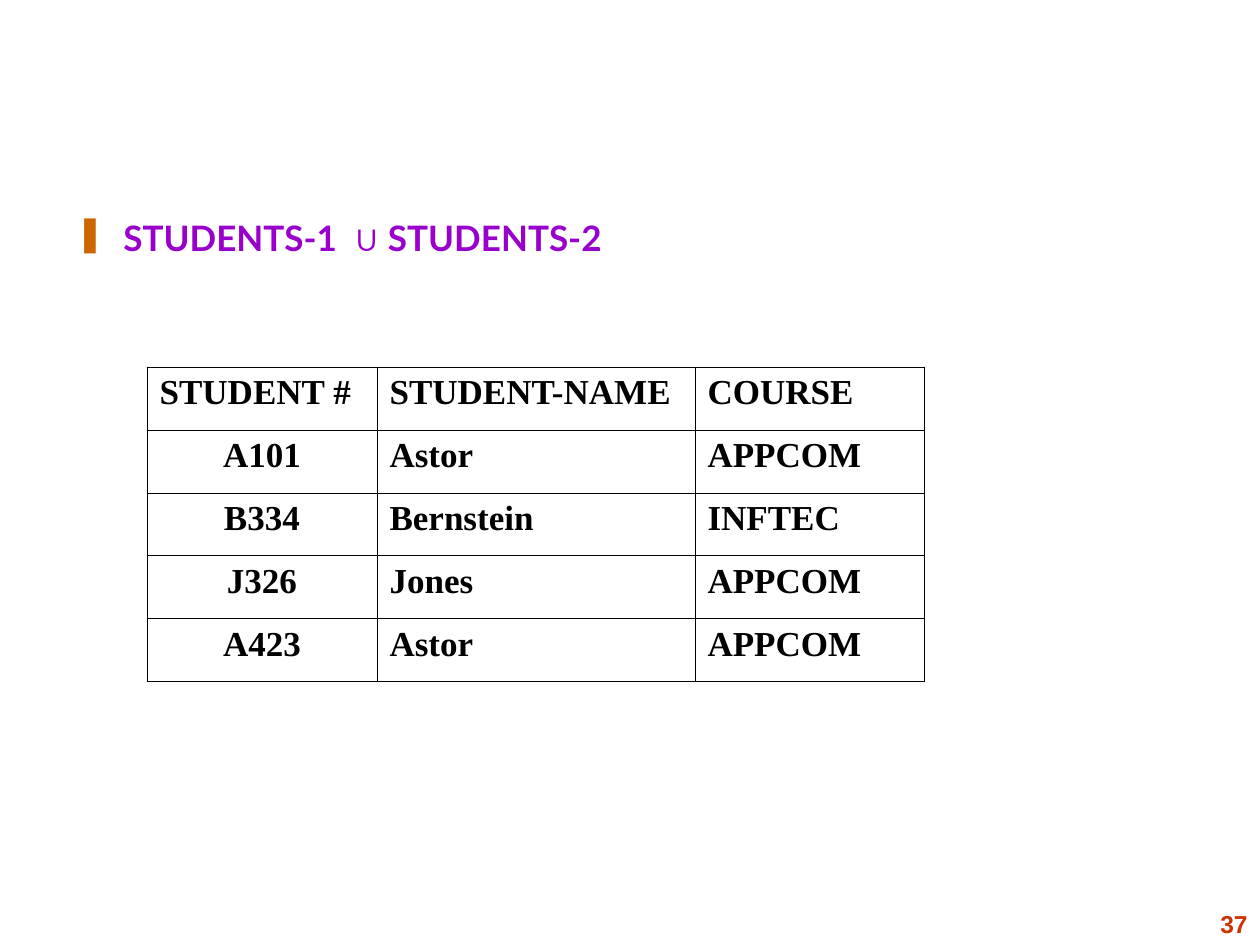
from lxml import etree
from pptx import Presentation
from pptx.dml.color import RGBColor
from pptx.enum.text import MSO_ANCHOR, PP_ALIGN
from pptx.oxml.ns import qn
from pptx.util import Emu, Pt

LEFT, CENTER, RIGHT = PP_ALIGN.LEFT, PP_ALIGN.CENTER, PP_ALIGN.RIGHT
TOP, BOTTOM = MSO_ANCHOR.TOP, MSO_ANCHOR.BOTTOM
PX = 914400 // 126
COLORS = {"heading": "9900CC", "bullet": "CC6600", "number": "CC3300", "table": "000000"}
BORDER_WIDTH = Pt(0.45)
STUDENTS = [
    ("STUDENT #", "STUDENT-NAME", "COURSE"),
    ("A101", "Astor", "APPCOM"),
    ("B334", "Bernstein", "INFTEC"),
    ("J326", "Jones", "APPCOM"),
    ("A423", "Astor", "APPCOM"),
]


def px(length):
    return Emu(length * PX)


class SlideBuilder:
    def __init__(self, presentation):
        self.slide = presentation.slides.add_slide(presentation.slide_layouts[6])

    def style(self, paragraph, size, color, name=None):
        font = paragraph.font
        font.size = Pt(size)
        font.bold = True
        font.color.rgb = RGBColor.from_string(COLORS[color])
        if name:
            font.name = name

    def text_frame(self, box, anchor):
        frame = self.slide.shapes.add_textbox(*map(px, box)).text_frame
        frame.word_wrap = True
        frame.vertical_anchor = anchor
        return frame

    def page_number(self, box, text):
        paragraph = self.text_frame(box, BOTTOM).paragraphs[0]
        paragraph.text = text
        paragraph.alignment = RIGHT
        self.style(paragraph, 14, "number", "Arial")

    def bullet(self, box, runs, indent):
        paragraph = self.text_frame(box, TOP).paragraphs[0]
        properties = paragraph._p.get_or_add_pPr()
        properties.set("marL", str(px(indent)))
        properties.set("indent", str(px(-indent)))
        color = etree.SubElement(properties, qn("a:buClr"))
        etree.SubElement(color, qn("a:srgbClr"), val=COLORS["bullet"])
        etree.SubElement(properties, qn("a:buChar"), char="❚")
        self.style(paragraph, 20, "heading")
        for text, name in runs:
            run = paragraph.add_run()
            run.text = text
            run.font.name = name

    def border(self, cell):
        properties = cell._tc.get_or_add_tcPr()
        for position, side in enumerate(("a:lnL", "a:lnR", "a:lnT", "a:lnB")):
            line = etree.Element(qn(side), w=str(BORDER_WIDTH))
            fill = etree.SubElement(line, qn("a:solidFill"))
            etree.SubElement(fill, qn("a:srgbClr"), val=COLORS["table"])
            properties.insert(position, line)

    def table(self, left, top, widths, row_height, rows):
        box = (left, top, sum(widths), row_height * len(rows))
        table = self.slide.shapes.add_table(len(rows), len(widths), *map(px, box)).table
        table.first_row = table.horz_banding = False
        for column, width in zip(table.columns, widths):
            column.width = px(width)
        for row_index, row in enumerate(rows):
            for column_index, text in enumerate(row):
                cell = table.cell(row_index, column_index)
                cell.text = text
                cell.fill.background()
                self.border(cell)
                paragraph = cell.text_frame.paragraphs[0]
                paragraph.alignment = CENTER if row_index and not column_index else LEFT
                self.style(paragraph, 20, "table", "Times New Roman")


def main():
    presentation = Presentation()
    presentation.slide_width, presentation.slide_height = px(1260), px(945)
    builder = SlideBuilder(presentation)
    builder.page_number((927, 903, 333, 42), "37")
    heading = [("STUDENTS-1  ", "Lato"), ("∪", "Arial"), (" STUDENTS-2", "Lato")]
    builder.bullet((63, 210, 756, 625), heading, 48)
    builder.table(147, 367, (230, 318, 229), 63, STUDENTS)
    presentation.save("out.pptx")


if __name__ == "__main__":
    main()
